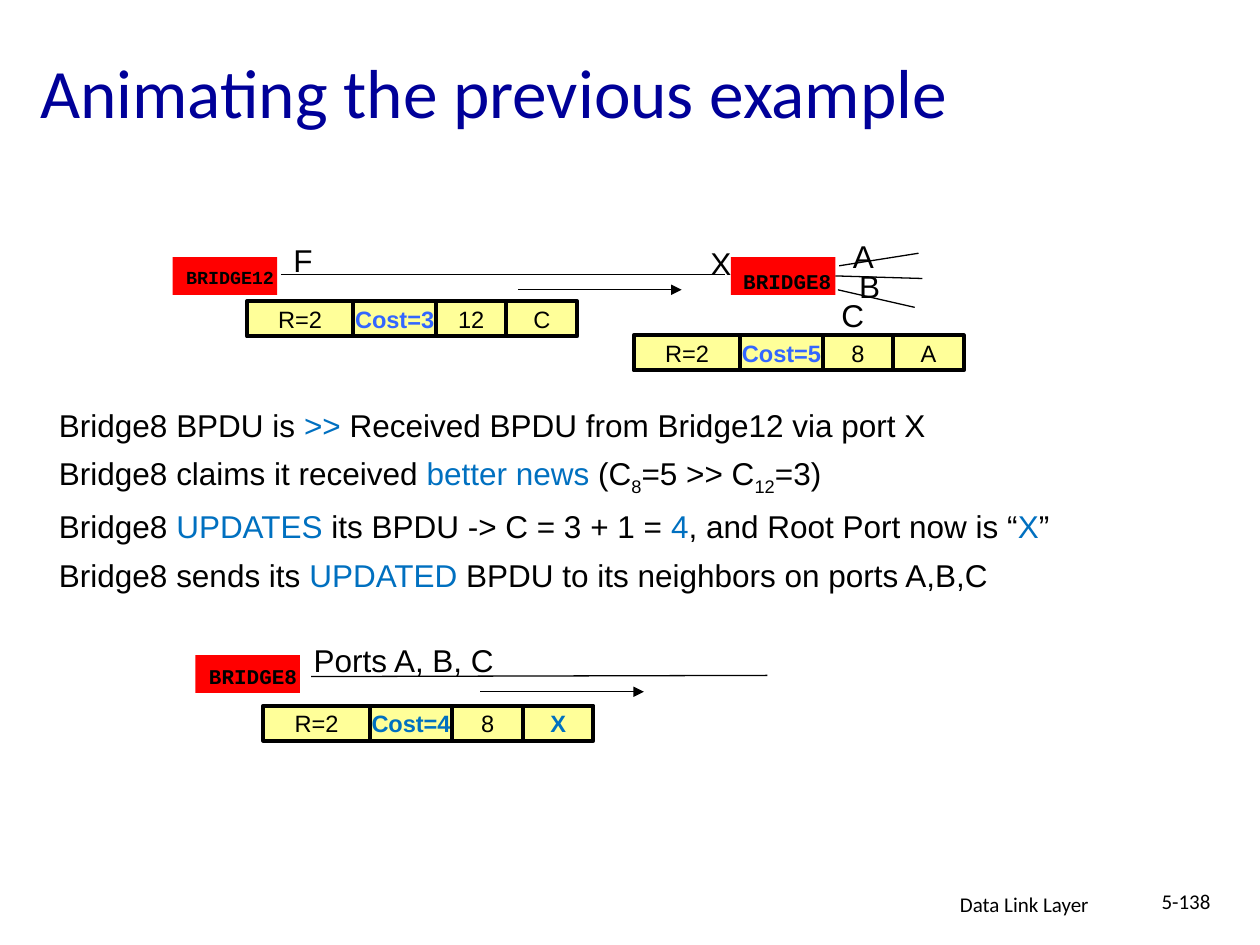
from lxml.etree import SubElement
from pptx import Presentation
from pptx.dml.color import RGBColor
from pptx.enum.shapes import MSO_CONNECTOR as Connector, MSO_SHAPE as Shape
from pptx.enum.text import MSO_ANCHOR as Anchor, MSO_AUTO_SIZE as Fit, PP_ALIGN as Align
from pptx.oxml.ns import qn
from pptx.util import Inches, Pt

deck = Presentation()
deck.slide_width, deck.slide_height = Inches(10), Inches(7.5)
page = deck.slides.add_slide(deck.slide_layouts[6])
color = RGBColor.from_string
BLACK, BLUE, BRIGHT = "000000", "0070C0", "3366FF"


def place(*shares):
    sides = (deck.slide_width, deck.slide_height) * 2
    return [round(side * share / 100) for side, share in zip(sides, shares)]


def write(frame, paragraphs, font, frame_format, para_format):
    for name, value in frame_format.items():
        setattr(frame, name, value)
    for index, spans in enumerate(paragraphs):
        para = frame.add_paragraph() if index else frame.paragraphs[0]
        for name, value in para_format.items():
            if index or name != "space_before":
                setattr(para, name, value)
        for text, tint, *extra in spans:
            span = para.add_run()
            span.text = text
            for name, value in font.items():
                setattr(span.font, name, value)
            span.font.color.rgb = color(tint)
            if "bold" in extra:
                span.font.bold = True
            if "sub" in extra:
                span.font._element.set("baseline", "-25000")


wrapped = {"word_wrap": True}
growing = {"word_wrap": False, "auto_size": Fit.SHAPE_TO_FIT_TEXT}
cell_frame = {"word_wrap": False, "vertical_anchor": Anchor.MIDDLE,
              "margin_left": Inches(0.06), "margin_right": Inches(0.06),
              "margin_top": Inches(0.03), "margin_bottom": Inches(0.03)}
title_font = {"name": "Calibri", "size": Pt(39.6)}
footer_font = {"name": "Calibri", "size": Pt(12)}
body_font = {"name": "Arial", "size": Pt(18)}
cell_font = {"name": "Arial", "size": Pt(13.5)}

bridges = []
for left, top, label, size, label_left, label_top, width in (
    (13.7, 27.2, "BRIDGE12", 10.5, 13.8, 27.47, 9),
    (58, 27.2, "BRIDGE8", 12, 58, 27.73, 9.1),
    (15.5, 69.33, "BRIDGE8", 12, 15.6, 69.6, 9.1),
):
    bridge = page.shapes.add_shape(Shape.RECTANGLE, *place(left, top, 8.3, 4))
    bridge.shadow.inherit = False
    bridge.fill.solid()
    bridge.fill.fore_color.rgb = color("FF0000")
    bridge.line.fill.background()
    bridges.append(bridge)
    box = page.shapes.add_textbox(*place(label_left, label_top, width, 4))
    label_font = {"name": "Courier New", "size": Pt(size), "bold": True}
    write(box.text_frame, [[(label, BLACK)]], label_font, growing, {})

cell_widths = (8.45, 6.55, 5.6, 5.6)
for left, top, fields in (
    (19.6, 31.87, [("R=2", BLACK), ("Cost=3", BRIGHT, "bold"), ("12", BLACK), ("C", BLACK)]),
    (50.3, 35.47, [("R=2", BLACK), ("Cost=5", BRIGHT, "bold"), ("8", BLACK), ("A", BLACK)]),
    (20.9, 74.67, [("R=2", BLACK), ("Cost=4", BLUE, "bold"), ("8", BLACK), ("X", BLUE, "bold")]),
):
    message = page.shapes.add_group_shape()
    for width, field in zip(cell_widths, fields):
        cell = message.shapes.add_shape(Shape.RECTANGLE, *place(left, top, width, 3.73))
        cell.shadow.inherit = False
        cell.fill.solid()
        cell.fill.fore_color.rgb = color("FFFF99")
        cell.line.color.rgb = color(BLACK)
        cell.line.width = Pt(2.25)
        write(cell.text_frame, [[field]], cell_font, cell_frame, {"alignment": Align.CENTER})
        left += width

for start_x, start_y, end_x, end_y, role in (
    (22.3, 29.07, 57.5, 29.07, "link"),
    (24.7, 71.6, 60.9, 71.47, "link"),
    (66.6, 28.13, 72.9, 26.8, "link"),
    (66.3, 29.2, 73.2, 29.47, "joined"),
    (66.5, 30.67, 72.6, 32.53, "link"),
    (41.1, 30.67, 54.1, 30.67, "arrow"),
    (38.1, 73.2, 51.1, 73.2, "arrow"),
):
    line = page.shapes.add_connector(Connector.STRAIGHT, *place(start_x, start_y, end_x, end_y))
    line.line.color.rgb = color(BLACK)
    line.line.width = Pt(0.75)
    if role == "arrow":
        SubElement(line.line._get_or_add_ln(), qn("a:tailEnd"), type="triangle")
    if role == "joined":
        line.begin_connect(bridges[1], 3)
    SubElement(line._element.spPr, qn("a:effectLst"))

for left, top, width, port in (
    (22.3, 24.8, 3.6, "F"),
    (55.4, 25.2, 3.7, "X"),
    (66.7, 24.4, 3.7, "A"),
    (67.2, 27.6, 3.7, "B"),
    (65.8, 30.67, 3.8, "C"),
    (23.9, 67.2, 16.5, "Ports A, B, C"),
):
    box = page.shapes.add_textbox(*place(left, top, width, 5.33))
    write(box.text_frame, [[(port, BLACK)]], body_font, growing, {})

steps = [
    [("Bridge8 BPDU is ", BLACK), (">>", BLUE),
     (" Received BPDU from Bridge12 via port X", BLACK)],
    [("Bridge8 claims it received ", BLACK), ("better news", BLUE), (" (C", BLACK),
     ("8", BLACK, "sub"), ("=5 >> C", BLACK), ("12", BLACK, "sub"), ("=3)", BLACK)],
    [("Bridge8 ", BLACK), ("UPDATES", BLUE), (" its BPDU -> C = 3 + 1 = ", BLACK),
     ("4", BLUE), (", and Root Port now is “", BLACK), ("X", BLUE), ("”", BLACK)],
    [("Bridge8 sends its ", BLACK), ("UPDATED", BLUE),
     (" BPDU to its neighbors on ports A,B,C", BLACK)],
]
box = page.shapes.add_textbox(*place(3.7, 42.27, 81.4, 20.93))
write(box.text_frame, steps, body_font, growing, {"space_before": Pt(6)})

for at, text, tint, font, frame_format in (
    ((2.2, 6.4, 83.2, 6.4), "Animating the previous example", "000099", title_font,
     {**wrapped, "vertical_anchor": Anchor.MIDDLE}),
    ((75.2, 93.73, 15.8, 4.27), "Data Link Layer", BLACK, footer_font, wrapped),
    ((91.2, 93.33, 8.8, 6.67), "5-138", BLACK, footer_font, wrapped),
):
    box = page.shapes.add_textbox(*place(*at))
    write(box.text_frame, [[(text, tint)]], font, frame_format, {})

deck.save("out.pptx")
